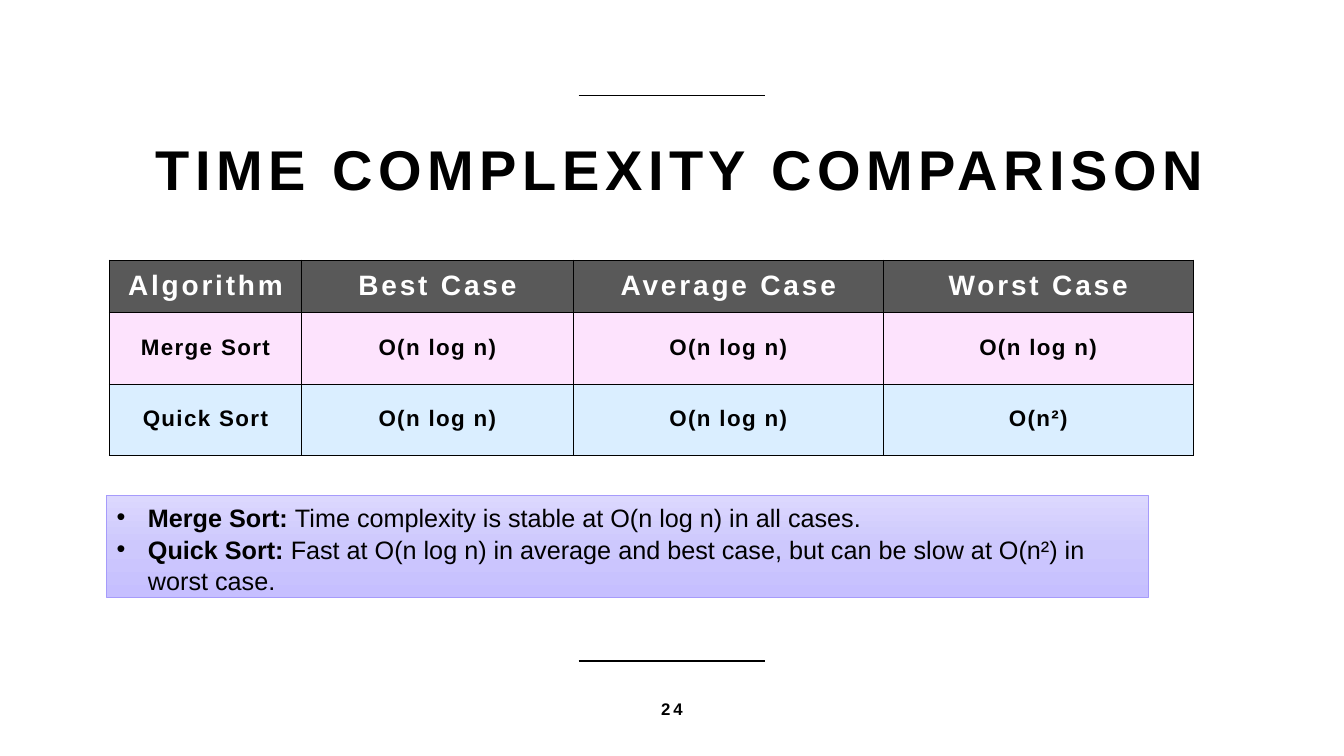
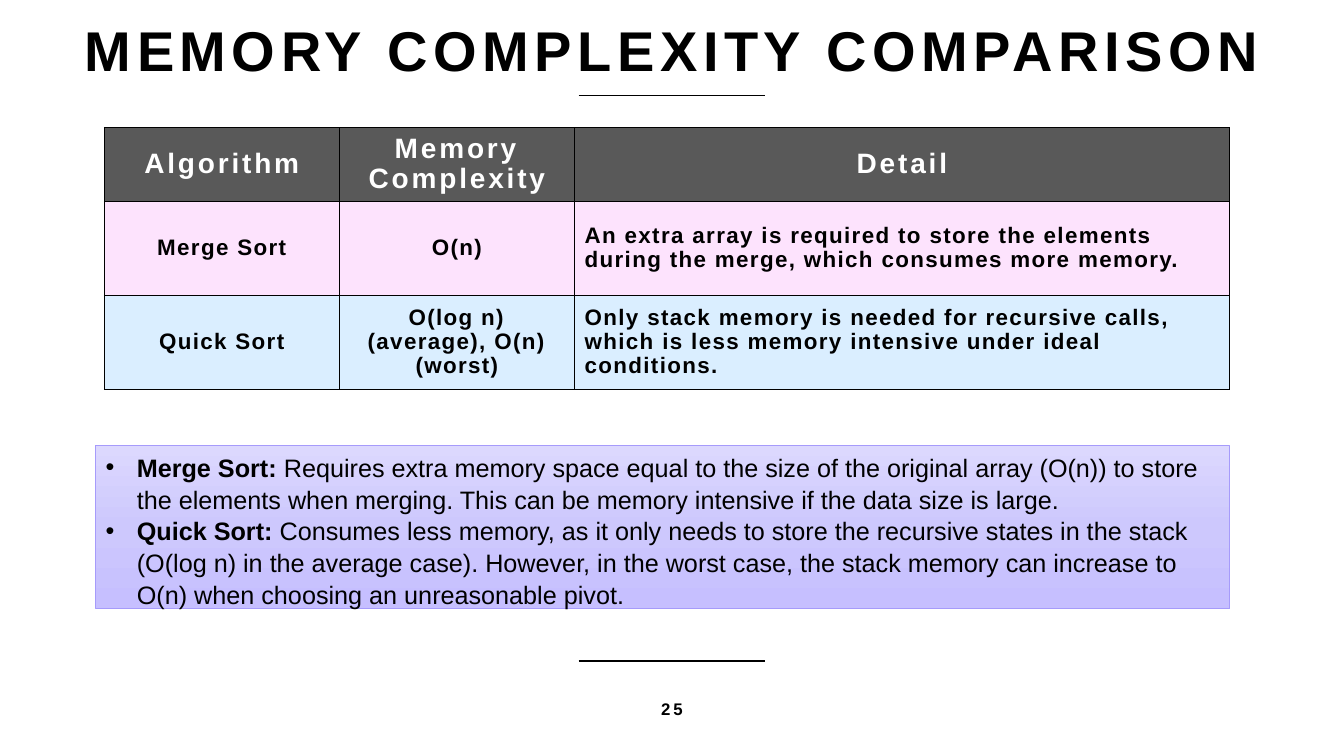
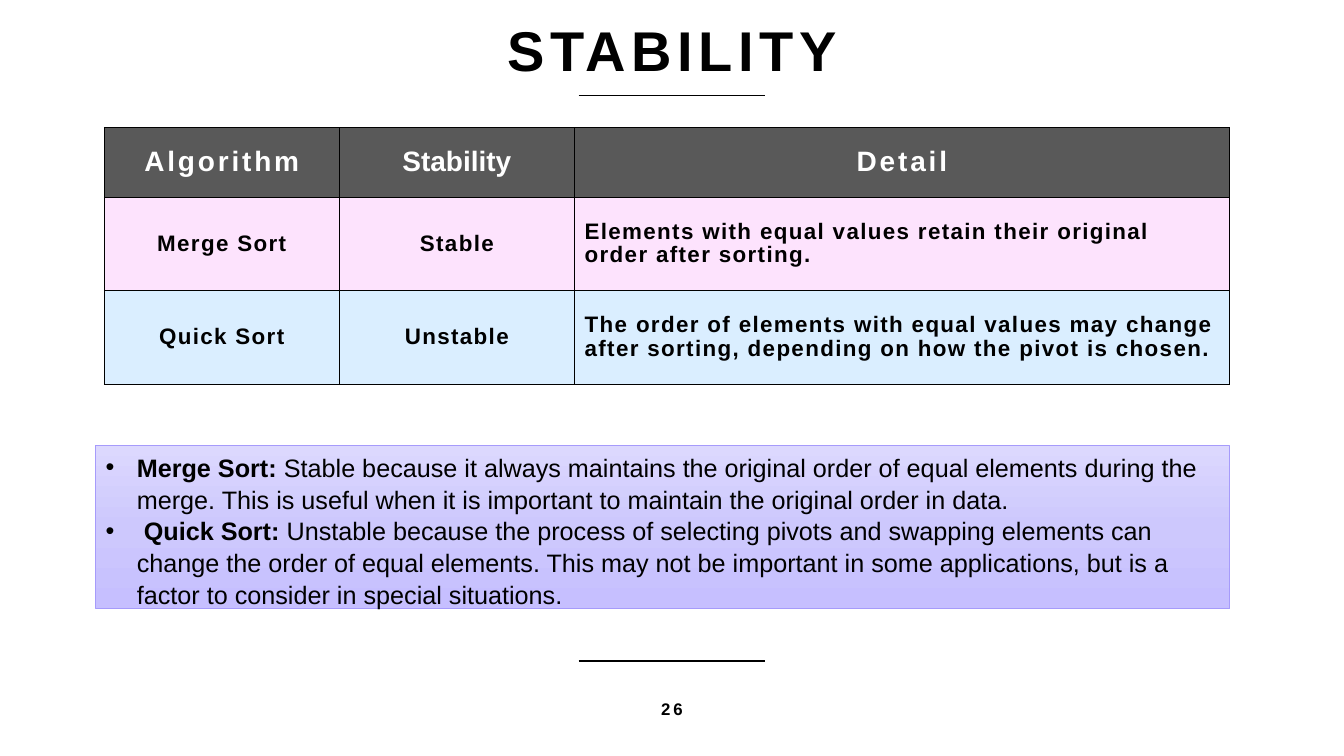
import copy

import pptx
import pptx.dml.color
import pptx.enum.shapes
import pptx.enum.text
import pptx.oxml
import pptx.oxml.ns
import pptx.util

Cm = pptx.util.Cm
Pt = pptx.util.Pt
RGBColor = pptx.dml.color.RGBColor
PP_ALIGN = pptx.enum.text.PP_ALIGN
MIDDLE = pptx.enum.text.MSO_ANCHOR.MIDDLE
qn = pptx.oxml.ns.qn

FONT = "Arial"
BLACK = RGBColor(0x00, 0x00, 0x00)
WHITE = RGBColor(0xFF, 0xFF, 0xFF)
HEADER_GREY = RGBColor(0x59, 0x59, 0x59)
MERGE_PINK = RGBColor(0xFB, 0xA3, 0xFB)
QUICK_BLUE = RGBColor(0xB6, 0xDF, 0xFF)
NOTE_GRADIENT = (
    RGBColor(0xDC, 0xD8, 0xFE),
    RGBColor(0xCD, 0xC8, 0xFD),
    RGBColor(0xC6, 0xBF, 0xFF),
)
NOTE_BORDER = RGBColor(0xA6, 0x9B, 0xFB)

PAGE_WIDTH, PAGE_HEIGHT = 33.87, 19.05
RULE_WIDTH = 4.7
RULE_TOPS = (2.41, 16.66)
NUMBER_WIDTH = 11.43
NOTE_INDENT = 0.79

# Fill colour and opacity in percent, from the header row down
ROW_FILLS = ((HEADER_GREY, 100), (MERGE_PINK, 30), (QUICK_BLUE, 50))

TITLE_TOP_BOX = (1.7, -0.2, 30.48, 2.57)
WIDE_COLUMNS = (5.92, 5.93, 16.5)
WIDE_TABLE_CORNER = (2.63, 3.22)
WIDE_NOTE_BOX = (2.41, 11.23, 28.58, 4.11)

PAGES = (
    {
        "number": 24,
        "title": "TIME COMPLEXITY COMPARISON",
        "title_box": (1.9, 1.9, 30.48, 4.37),
        "corner": (2.76, 6.56),
        "columns": (4.84, 6.85, 7.81, 7.81),
        "rows": (1.32, 1.8, 1.8),
        "cells": (
            ("Algorithm", "Best Case", "Average Case", "Worst Case"),
            ("Merge Sort", "O(n log n)", "O(n log n)", "O(n log n)"),
            ("Quick Sort", "O(n log n)", "O(n log n)", "O(n²)"),
        ),
        "note_box": (2.69, 12.49, 26.24, 2.57),
        "notes": (
            ("Merge Sort: ", "Time complexity is stable at O(n log n) in all cases."),
            ("Quick Sort: ", "Fast at O(n log n) in average and best case, but can be "
             "slow at O(n²) in worst case."),
        ),
    },
    {
        "number": 25,
        "title": "MEMORY COMPLEXITY COMPARISON",
        "title_box": TITLE_TOP_BOX,
        "corner": WIDE_TABLE_CORNER,
        "columns": WIDE_COLUMNS,
        "rows": (1.84, 2.36, 2.36),
        "cells": (
            ("Algorithm", "Memory Complexity", "Detail"),
            ("Merge Sort", "O(n)", "An extra array is required to store the elements "
             "during the merge, which consumes more memory."),
            ("Quick Sort", "O(log n) (average), O(n) (worst)",
             "Only stack memory is needed for recursive calls, which is less memory "
             "intensive under ideal conditions."),
        ),
        "note_box": WIDE_NOTE_BOX,
        "notes": (
            ("Merge Sort: ", "Requires extra memory space equal to the size of the "
             "original array (O(n)) to store the elements when merging. This can be "
             "memory intensive if the data size is large."),
            ("Quick Sort: ", "Consumes less memory, as it only needs to store the "
             "recursive states in the stack (O(log n) in the average case). However, "
             "in the worst case, the stack memory can increase to O(n) when choosing "
             "an unreasonable pivot."),
        ),
    },
    {
        "number": 26,
        "title": "STABILITY",
        "title_box": TITLE_TOP_BOX,
        "corner": WIDE_TABLE_CORNER,
        "columns": WIDE_COLUMNS,
        "rows": (1.75, 2.36, 2.36),
        "cells": (
            ("Algorithm", "Stability", "Detail"),
            ("Merge Sort", "Stable", "Elements with equal values retain their original "
             "order after sorting."),
            ("Quick Sort", "Unstable", "The order of elements with equal values may "
             "change after sorting, depending on how the pivot is chosen."),
        ),
        "note_box": WIDE_NOTE_BOX,
        "notes": (
            ("Merge Sort: ", "Stable because it always maintains the original order of "
             "equal elements during the merge. This is useful when it is important to "
             "maintain the original order in data."),
            (" Quick Sort: ", "Unstable because the process of selecting pivots and "
             "swapping elements can change the order of equal elements. This may not "
             "be important in some applications, but is a factor to consider in "
             "special situations."),
        ),
    },
)
UNSPACED_HEADERS = ("Stability",)


def lengths(values):
    return [Cm(value) for value in values]


def add_element(parent, tag, **attributes):
    child = parent.makeelement(qn(tag), attributes)
    parent.append(child)
    return child


def style_paragraph(paragraph, size, color=BLACK, bold=True, tracking=0,
                    align=PP_ALIGN.CENTER, line_spacing=None):
    """Set the look of a whole paragraph; tracking is letter spacing in points."""
    paragraph.alignment = align
    paragraph.line_spacing = line_spacing
    font = paragraph.font
    font.name = FONT
    font.size = Pt(size)
    font.bold = bold
    font.color.rgb = color
    if tracking:
        paragraph.font._element.set("spc", str(tracking * 100))


def add_rule(page, top):
    left = (PAGE_WIDTH - RULE_WIDTH) / 2
    rule = page.shapes.add_connector(
        pptx.enum.shapes.MSO_CONNECTOR.STRAIGHT,
        *lengths((left, top, left + RULE_WIDTH, top)))
    rule.line.color.rgb = BLACK
    rule.line.width = Pt(1)
    add_element(rule._element.spPr, "a:effectLst")


def add_label(page, area, text, size, tracking, line_spacing=None):
    """Add a box with one centred bold line and return its text frame."""
    frame = page.shapes.add_textbox(*lengths(area)).text_frame
    frame.word_wrap = True
    frame.vertical_anchor = MIDDLE
    frame.text = text
    style_paragraph(frame.paragraphs[0], size, tracking=tracking,
                    line_spacing=line_spacing)
    return frame


def add_title(page, area, text):
    frame = add_label(page, area, text, 40, 4, 0.9)
    frame.margin_top = Cm(0.51)
    frame.margin_bottom = 0


def add_page_number(page, number):
    left = (PAGE_WIDTH - NUMBER_WIDTH) / 2
    add_label(page, (left, 16.69, NUMBER_WIDTH, 2.36), str(number), 12, 2)


def fill_cell(cell, color, opacity):
    cell.fill.solid()
    cell.fill.fore_color.rgb = color
    if opacity < 100:
        tint = cell._tc.tcPr.find(".//" + qn("a:srgbClr"))
        add_element(tint, "a:alpha", val=str(opacity * 1000))


def add_cell_borders(cell):
    properties = cell._tc.get_or_add_tcPr()
    for index, side in enumerate(("a:lnL", "a:lnR", "a:lnT", "a:lnB")):
        border = add_element(properties, side, w=str(Pt(1)))
        properties.insert(index, border)
        solid = add_element(border, "a:solidFill")
        add_element(solid, "a:srgbClr", val=str(BLACK))


def style_cell(cell, text, is_header):
    cell.text = text
    cell.vertical_anchor = MIDDLE
    paragraph = cell.text_frame.paragraphs[0]
    if is_header:
        tracking = 0 if text in UNSPACED_HEADERS else 2
        style_paragraph(paragraph, 20, WHITE, tracking=tracking, line_spacing=0.95)
    else:
        is_sentence = text.endswith(".")
        align = PP_ALIGN.LEFT if is_sentence else PP_ALIGN.CENTER
        style_paragraph(paragraph, 16, tracking=1, align=align, line_spacing=0.95)


def add_comparison_table(page, corner, columns, rows, cells):
    frame = page.shapes.add_table(
        len(rows), len(columns), *lengths((*corner, sum(columns), sum(rows))))
    table = frame.table
    table.horz_banding = False
    for column, width in zip(table.columns, columns):
        column.width = Cm(width)
    for row_index, (row, height) in enumerate(zip(table.rows, rows)):
        row.height = Cm(height)
        for cell, text in zip(row.cells, cells[row_index]):
            style_cell(cell, text, row_index == 0)
            fill_cell(cell, *ROW_FILLS[row_index])
            add_cell_borders(cell)


def fill_note(shape):
    """Give the note box its vertical three-colour gradient."""
    fill = shape.fill
    fill.gradient()
    fill.gradient_angle = 270
    stop_list = shape._element.spPr.find(".//" + qn("a:gsLst"))
    stop_list.insert(1, copy.deepcopy(stop_list[0]))
    for index, (stop, color) in enumerate(zip(fill.gradient_stops, NOTE_GRADIENT)):
        stop.position = index / 2
        stop.color.rgb = color


def add_bullet(paragraph):
    properties = paragraph._p.get_or_add_pPr()
    properties.set("marL", str(Cm(NOTE_INDENT)))
    properties.set("indent", str(-Cm(NOTE_INDENT)))
    add_element(properties, "a:buFont", typeface=FONT)
    add_element(properties, "a:buChar", char="•")


def add_notes(page, area, notes):
    box = page.shapes.add_shape(
        pptx.enum.shapes.MSO_SHAPE.RECTANGLE, *lengths(area))
    box.shadow.inherit = False
    fill_note(box)
    box.line.color.rgb = NOTE_BORDER
    box.line.width = Pt(0.5)
    frame = box.text_frame
    frame.word_wrap = True
    frame.vertical_anchor = pptx.enum.text.MSO_ANCHOR.TOP
    for index, (lead, statement) in enumerate(notes):
        paragraph = frame.add_paragraph() if index else frame.paragraphs[0]
        add_bullet(paragraph)
        style_paragraph(paragraph, 18, bold=False, align=PP_ALIGN.LEFT,
                        line_spacing=1.05)
        span = paragraph.add_run()
        span.text = lead
        span.font.bold = True
        paragraph.add_run().text = statement


def main():
    deck = pptx.Presentation()
    deck.slide_width = Cm(PAGE_WIDTH)
    deck.slide_height = Cm(PAGE_HEIGHT)
    for content in PAGES:
        page = deck.slides.add_slide(deck.slide_layouts[6])
        for top in RULE_TOPS:
            add_rule(page, top)
        add_title(page, content["title_box"], content["title"])
        add_comparison_table(page, content["corner"], content["columns"],
                             content["rows"], content["cells"])
        add_page_number(page, content["number"])
        add_notes(page, content["note_box"], content["notes"])
    deck.save("out.pptx")


if __name__ == "__main__":
    main()
